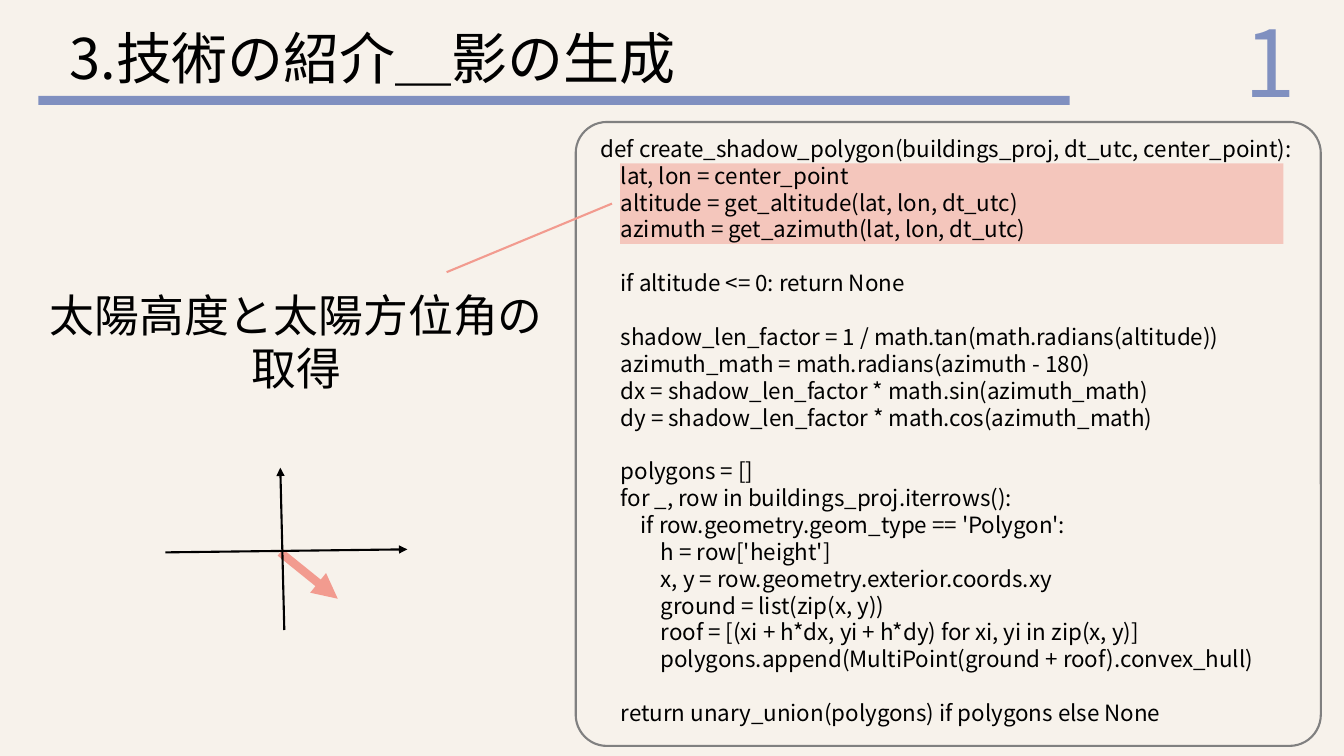
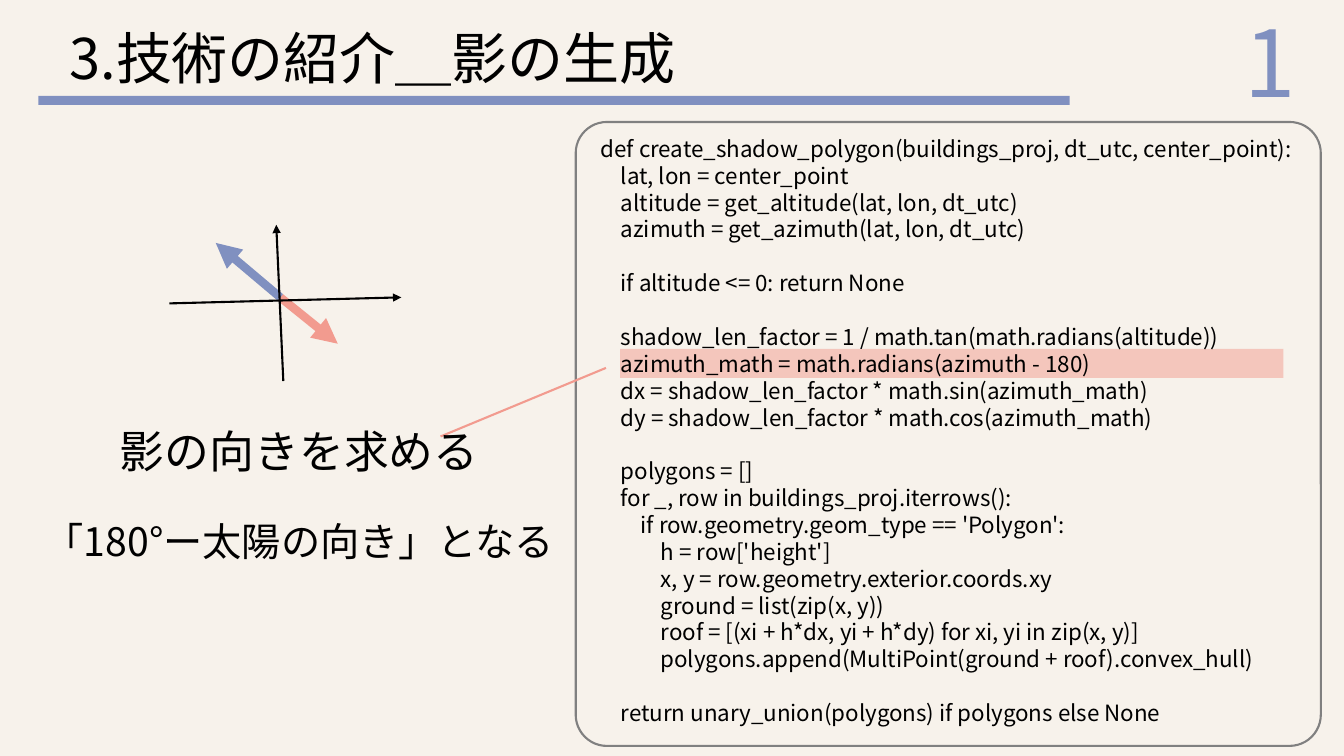
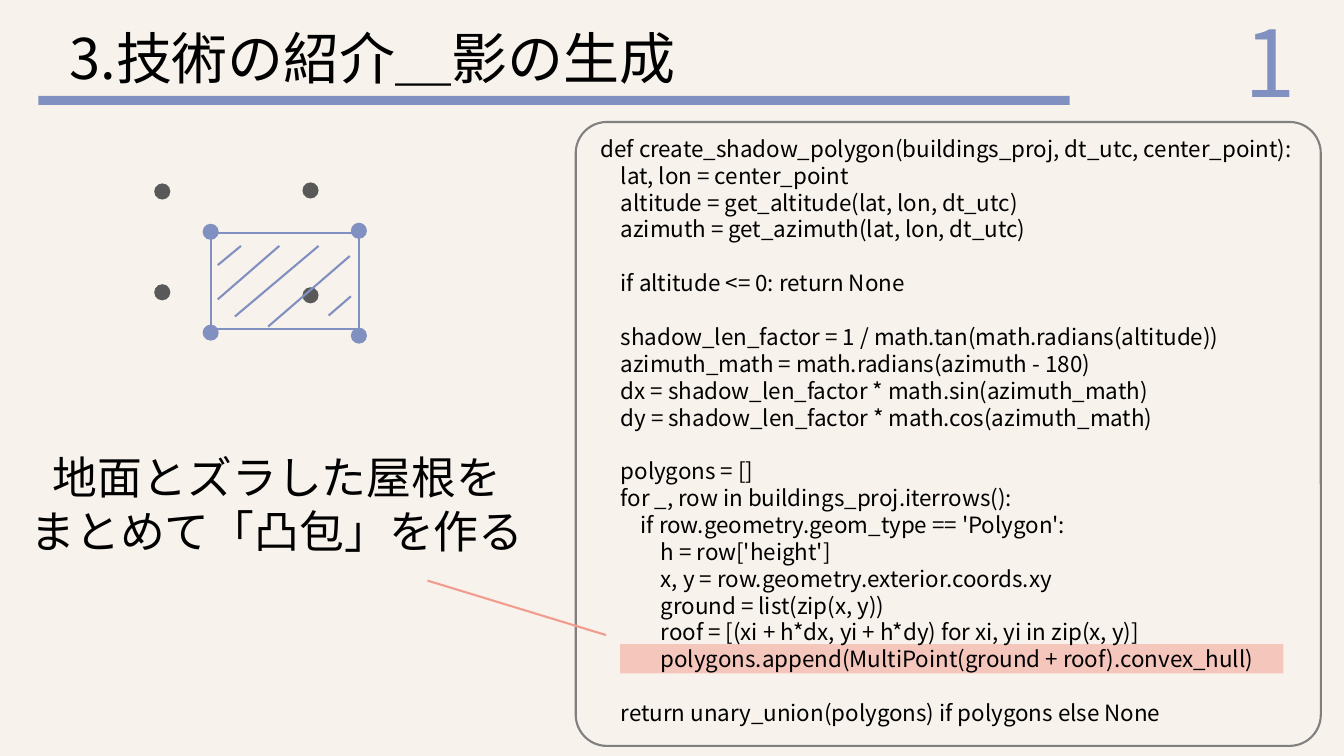
from dataclasses import dataclass

from lxml import etree
from pptx import Presentation
from pptx.dml.color import RGBColor
from pptx.enum.shapes import MSO_CONNECTOR, MSO_SHAPE
from pptx.enum.text import MSO_AUTO_SIZE, PP_ALIGN
from pptx.oxml.ns import qn
from pptx.util import Inches, Pt

RECTANGLE = MSO_SHAPE.RECTANGLE
ROUNDED = MSO_SHAPE.ROUNDED_RECTANGLE
DOT = MSO_SHAPE.FLOWCHART_CONNECTOR
STRAIGHT = MSO_CONNECTOR.STRAIGHT
LEFT = PP_ALIGN.LEFT
CENTER = PP_ALIGN.CENTER
GROW = MSO_AUTO_SIZE.SHAPE_TO_FIT_TEXT


@dataclass(frozen=True)
class Theme:
    font: str = "Noto Sans CJK JP"
    background: str = "F7F2EB"
    blue: str = "8090C0"
    coral: str = "F29B8F"
    black: str = "000000"
    frame: str = "808080"
    ground: str = "595959"
    number_size: int = 66
    title_size: int = 40
    caption_size: int = 32
    note_size: int = 28
    code_size: int = 16
    line_factor: float = 1.2
    thin: float = 1.5
    thick: float = 6


THEME = Theme()
TITLE = "3.技術の紹介＿影の生成"
PAGE_NUMBER = "1"
CODE_BLOCKS = (
    """def create_shadow_polygon(buildings_proj, dt_utc, center_point):
    lat, lon = center_point
    altitude = get_altitude(lat, lon, dt_utc)
    azimuth = get_azimuth(lat, lon, dt_utc)""",
    """    if altitude <= 0: return None""",
    """    shadow_len_factor = 1 / math.tan(math.radians(altitude))
    azimuth_math = math.radians(azimuth - 180)
    dx = shadow_len_factor * math.sin(azimuth_math)
    dy = shadow_len_factor * math.cos(azimuth_math)""",
    """    polygons = []
    for _, row in buildings_proj.iterrows():
        if row.geometry.geom_type == 'Polygon':
            h = row['height']
            x, y = row.geometry.exterior.coords.xy
            ground = list(zip(x, y))
            roof = [(xi + h*dx, yi + h*dy) for xi, yi in zip(x, y)]
            polygons.append(MultiPoint(ground + roof).convex_hull)""",
    """    return unary_union(polygons) if polygons else None""",
)


def color(value):
    return RGBColor.from_string(value)


def add_text(slide, box, lines, align=LEFT, text_color=THEME.black):
    shape = slide.shapes.add_textbox(*map(Inches, box))
    frame = shape.text_frame
    frame.word_wrap = True
    frame.auto_size = GROW
    for index, (text, size, space_before) in enumerate(lines):
        paragraph = frame.paragraphs[0] if index == 0 else frame.add_paragraph()
        paragraph.alignment = align
        paragraph.line_spacing = Pt(size * THEME.line_factor)
        if space_before:
            paragraph.space_before = Pt(space_before)
        run = paragraph.add_run()
        run.text = text
        run.font.size = Pt(size)
        run.font.color.rgb = color(text_color)
        run.font.name = THEME.font
        east_asian = etree.SubElement(run.font._element, qn("a:ea"))
        east_asian.set("typeface", THEME.font)


def add_shape(slide, kind, box, fill=None, line=None, opacity=None):
    shape = slide.shapes.add_shape(kind, *map(Inches, box))
    shape.shadow.inherit = False
    if fill:
        shape.fill.solid()
        shape.fill.fore_color.rgb = color(fill)
    else:
        shape.fill.background()
    if opacity:
        fill_color = shape.element.spPr.find(".//" + qn("a:srgbClr"))
        etree.SubElement(fill_color, qn("a:alpha")).set("val", str(opacity * 1000))
    if line:
        shape.line.color.rgb = color(line)
        shape.line.width = Pt(THEME.thin)
    else:
        shape.line.fill.background()
    return shape


def add_line(slide, start, end, line_color, width=THEME.thin, arrow=False):
    points = map(Inches, (*start, *end))
    connector = slide.shapes.add_connector(STRAIGHT, *points)
    connector.line.color.rgb = color(line_color)
    connector.line.width = Pt(width)
    if arrow:
        outline = connector.line._get_or_add_ln()
        etree.SubElement(outline, qn("a:tailEnd")).set("type", "triangle")
    etree.SubElement(connector._element.spPr, qn("a:effectLst"))


def add_axes(slide, horizontal, vertical):
    for start, end in (horizontal, vertical):
        add_line(slide, start, end, THEME.black, arrow=True)


def add_direction(slide, start, end, line_color):
    add_line(slide, start, end, line_color, THEME.thick, arrow=True)


def code_lines():
    gap = THEME.code_size * THEME.line_factor
    return [
        (text, THEME.code_size, gap if block_index and line_index == 0 else 0)
        for block_index, block in enumerate(CODE_BLOCKS)
        for line_index, text in enumerate(block.split("\n"))
    ]


def add_code_slide(presentation, highlight_top, highlight_height, leader):
    slide = presentation.slides.add_slide(presentation.slide_layouts[6])
    slide.background.fill.solid()
    slide.background.fill.fore_color.rgb = color(THEME.background)
    highlight = (6.15, highlight_top, 6.58, highlight_height)
    add_shape(slide, RECTANGLE, highlight, THEME.coral, opacity=50)
    add_shape(slide, RECTANGLE, (0.38, 0.95, 10.23, 0.09), THEME.blue)
    number = [(PAGE_NUMBER, THEME.number_size, 0)]
    add_text(slide, (11.86, 0, 1.47, 1.21), number, CENTER, THEME.blue)
    add_text(slide, (0.59, 0.18, 6.59, 0.77), [(TITLE, THEME.title_size, 0)])
    add_text(slide, (5.86, 1.29, 7.24, 6.02), code_lines())
    frame = add_shape(slide, ROUNDED, (5.71, 1.21, 7.39, 6.19), line=THEME.frame)
    frame.adjustments[0] = 0.05
    add_line(slide, *leader, THEME.coral)
    return slide


def add_sun_position_slide(presentation):
    slide = add_code_slide(presentation, 1.62, 0.8, ((4.43, 2.7), (6.07, 2.02)))
    caption = [("太陽高度と太陽方位角の取得", THEME.caption_size, 0)]
    add_text(slide, (0.39, 2.8, 5.1, 1.18), caption, CENTER)
    add_direction(slide, (2.78, 5.48), (3.35, 5.94), THEME.coral)
    add_axes(slide, ((1.64, 5.48), (4.04, 5.45)), ((2.82, 6.25), (2.78, 4.64)))


def add_shadow_direction_slide(presentation):
    slide = add_code_slide(presentation, 3.46, 0.29, ((4.37, 4.33), (6.01, 3.65)))
    caption = [
        ("影の向きを求める", THEME.caption_size, 0),
        ("「180°ー太陽の向き」となる", THEME.note_size, 28.8),
    ]
    add_text(slide, (0.23, 4.15, 5.48, 1.51), caption, CENTER)
    origin = (2.78, 2.95)
    add_direction(slide, origin, (3.35, 3.41), THEME.coral)
    add_direction(slide, origin, (2.14, 2.41), THEME.blue)
    add_axes(slide, ((1.68, 3.01), (3.98, 2.95)), ((2.81, 3.78), (2.74, 2.23)))


def add_convex_hull_slide(presentation):
    slide = add_code_slide(presentation, 6.39, 0.29, ((4.24, 5.76), (6.01, 6.3)))
    caption = [
        ("地面とズラした屋根を", THEME.caption_size, 0),
        ("まとめて「凸包」を作る", THEME.caption_size, 0),
    ]
    add_text(slide, (0.01, 4.41, 5.48, 1.18), caption, CENTER)
    ground_corners = ((1.53, 1.82), (3, 1.81), (1.53, 2.82), (3, 2.85))
    for shift_x, shift_y, fill in ((0, 0, THEME.ground), (0.48, 0.4, THEME.blue)):
        for x, y in ground_corners:
            add_shape(slide, DOT, (x + shift_x, y + shift_y, 0.16, 0.16), fill)
    add_shape(slide, RECTANGLE, (2.09, 2.31, 1.47, 0.95), line=THEME.blue)
    hatching = (
        ((2.39, 2.44), (2.16, 2.63)),
        ((2.77, 2.44), (2.16, 2.97)),
        ((3.16, 2.44), (2.33, 3.14)),
        ((3.47, 2.54), (2.66, 3.24)),
        ((3.48, 2.94), (3.26, 3.13)),
    )
    for start, end in hatching:
        add_line(slide, start, end, THEME.blue)


def main():
    presentation = Presentation()
    presentation.slide_width = Inches(13.33)
    presentation.slide_height = Inches(7.5)
    add_sun_position_slide(presentation)
    add_shadow_direction_slide(presentation)
    add_convex_hull_slide(presentation)
    presentation.save("out.pptx")


if __name__ == "__main__":
    main()
